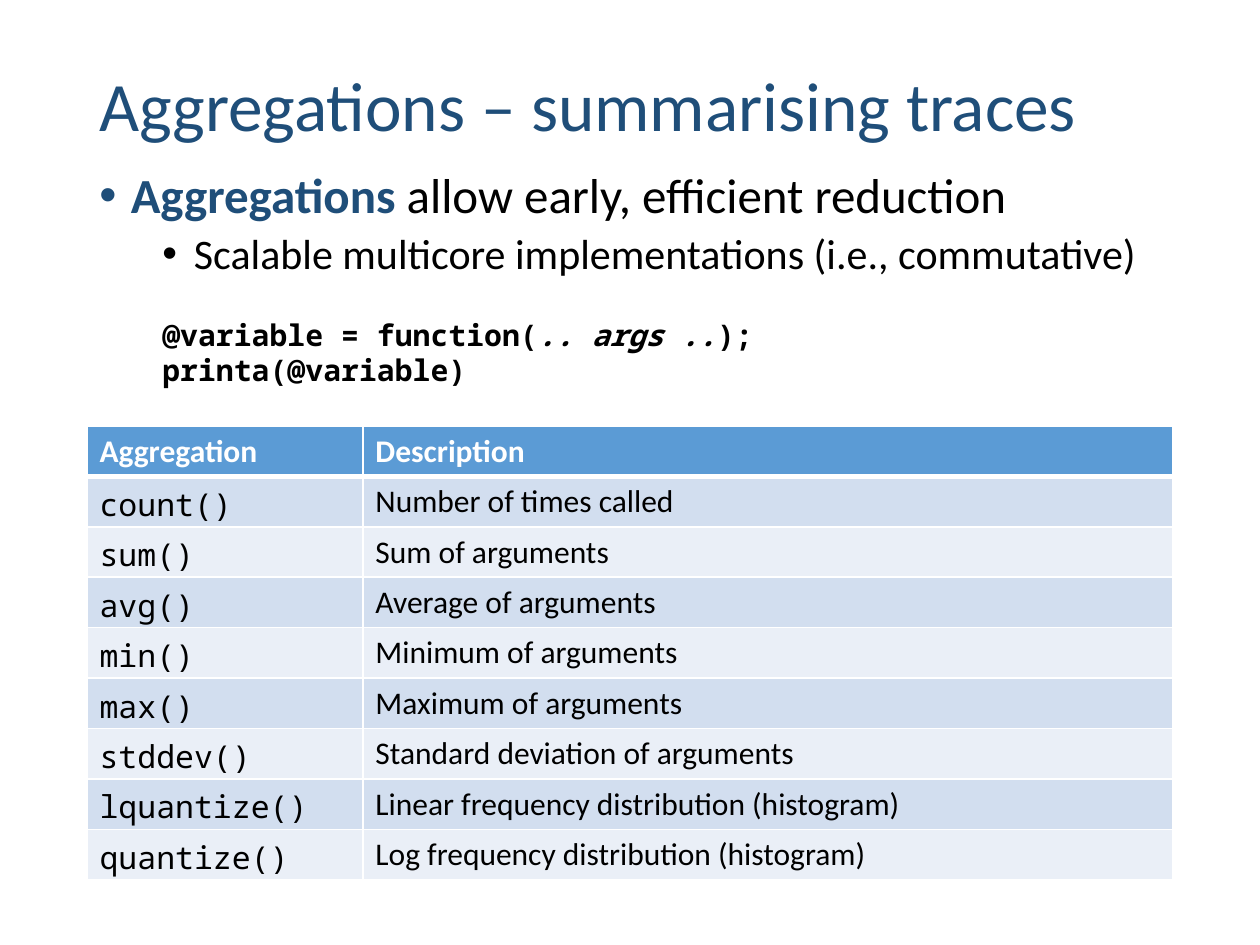
from lxml.etree import SubElement
from pptx import Presentation
from pptx.dml.color import RGBColor
from pptx.enum.text import MSO_ANCHOR
from pptx.oxml.ns import qn
from pptx.util import Inches, Pt

NAVY = RGBColor(0x1F, 0x4E, 0x79)
BLUE = RGBColor(0x5B, 0x9B, 0xD5)
BAND_DARK = RGBColor(0xD2, 0xDE, 0xEF)
BAND_LIGHT = RGBColor(0xEA, 0xEF, 0xF7)
BLACK = RGBColor(0, 0, 0)
WHITE = RGBColor(0xFF, 0xFF, 0xFF)
SANS, MONO = "Calibri", "Noto Sans Mono"

deck = Presentation()
deck.slide_width, deck.slide_height = Inches(10), Inches(7.5)
slide = deck.slides.add_slide(deck.slide_layouts[6])
margin = Inches(0.69)
content_width = deck.slide_width - 2 * margin


def add_text(top, height, anchor, paragraphs):
    frame = slide.shapes.add_textbox(margin, Inches(top), content_width, Inches(height)).text_frame
    frame.word_wrap = True
    frame.vertical_anchor = anchor
    for number, runs in enumerate(paragraphs):
        paragraph = frame.add_paragraph() if number else frame.paragraphs[0]
        for text, *style in runs:
            run = paragraph.add_run()
            run.text = text
            style_run(run, *style)
    return frame.paragraphs


def style_run(run, size, face, color, bold=False, italic=False):
    run.font.size = Pt(size)
    run.font.name = face
    run.font.color.rgb = color
    run.font.bold = bold
    run.font.italic = italic


title = add_text(0.25, 1.23, MSO_ANCHOR.MIDDLE, [
    [("Aggregations – summarising traces", 39.6, SANS, NAVY)],
])
title[0].line_spacing = 0.9

points = add_text(1.31, 1.07, MSO_ANCHOR.TOP, [
    [("Aggregations ", 28, SANS, NAVY, True),
     ("allow early, efficient reduction", 28, SANS, BLACK)],
    [("Scalable multicore implementations (i.e., commutative)", 24, SANS, BLACK)],
])
for level, (point, indent) in enumerate(zip(points, (0.25, 0.75))):
    point.level = level
    properties = point._p.get_or_add_pPr()
    properties.set("marL", str(Inches(indent)))
    properties.set("indent", str(-Inches(0.25)))
    SubElement(properties, qn("a:buFont"), typeface="Arial")
    SubElement(properties, qn("a:buChar"), char="•")
    point.line_spacing = 0.9
points[1].space_before = Pt(5)

aggregations = [
    ("Aggregation", "Description"),
    ("count()", "Number of times called"),
    ("sum()", "Sum of arguments"),
    ("avg()", "Average of arguments"),
    ("min()", "Minimum of arguments"),
    ("max()", "Maximum of arguments"),
    ("stddev()", "Standard deviation of arguments"),
    ("lquantize()", "Linear frequency distribution (histogram)"),
    ("quantize()", "Log frequency distribution (histogram)"),
]
row_height = Inches(0.27)
table = slide.shapes.add_table(len(aggregations), 2, margin, Inches(3.38), content_width,
                               row_height * len(aggregations)).table
table.columns[0].width = Inches(2.19)
table.columns[1].width = content_width - Inches(2.19)
for row, texts in enumerate(aggregations):
    table.rows[row].height = row_height
    for column, text in enumerate(texts):
        cell = table.cell(row, column)
        cell.text_frame.text = text
        header = row == 0
        face = MONO if column == 0 and not header else SANS
        style_run(cell.text_frame.paragraphs[0].runs[0], 18, face, WHITE if header else BLACK, header)
        for side in "LRTB":
            under_header = (row, side) in ((0, "B"), (1, "T"))
            border = SubElement(cell._tc.get_or_add_tcPr(), qn(f"a:ln{side}"),
                                w=str(Pt(3 if under_header else 1)))
            SubElement(SubElement(border, qn("a:solidFill")), qn("a:srgbClr"), val=str(WHITE))
        cell.fill.solid()
        cell.fill.fore_color.rgb = BLUE if header else BAND_DARK if row % 2 else BAND_LIGHT

code = add_text(2.3, 0.99, MSO_ANCHOR.MIDDLE, [
    [("@variable = function(", 17, MONO, BLACK, True),
     (".. args ..", 17, MONO, BLACK, True, True),
     (");", 17, MONO, BLACK, True)],
    [("printa(@variable)", 17, MONO, BLACK, True)],
])
for line in code:
    line.level = 1
    line._p.get_or_add_pPr().set("marL", str(Inches(0.5)))
    line._p.get_or_add_pPr().set("indent", "0")

deck.save("out.pptx")
